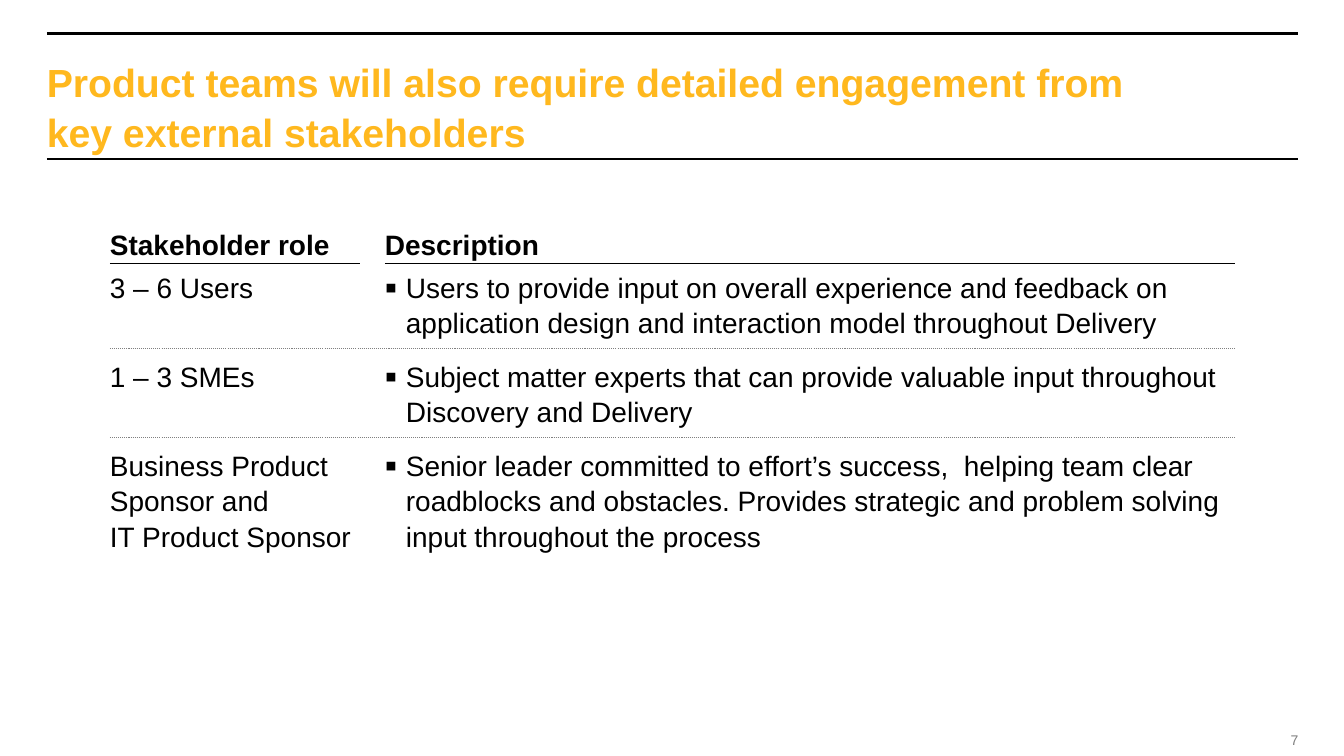
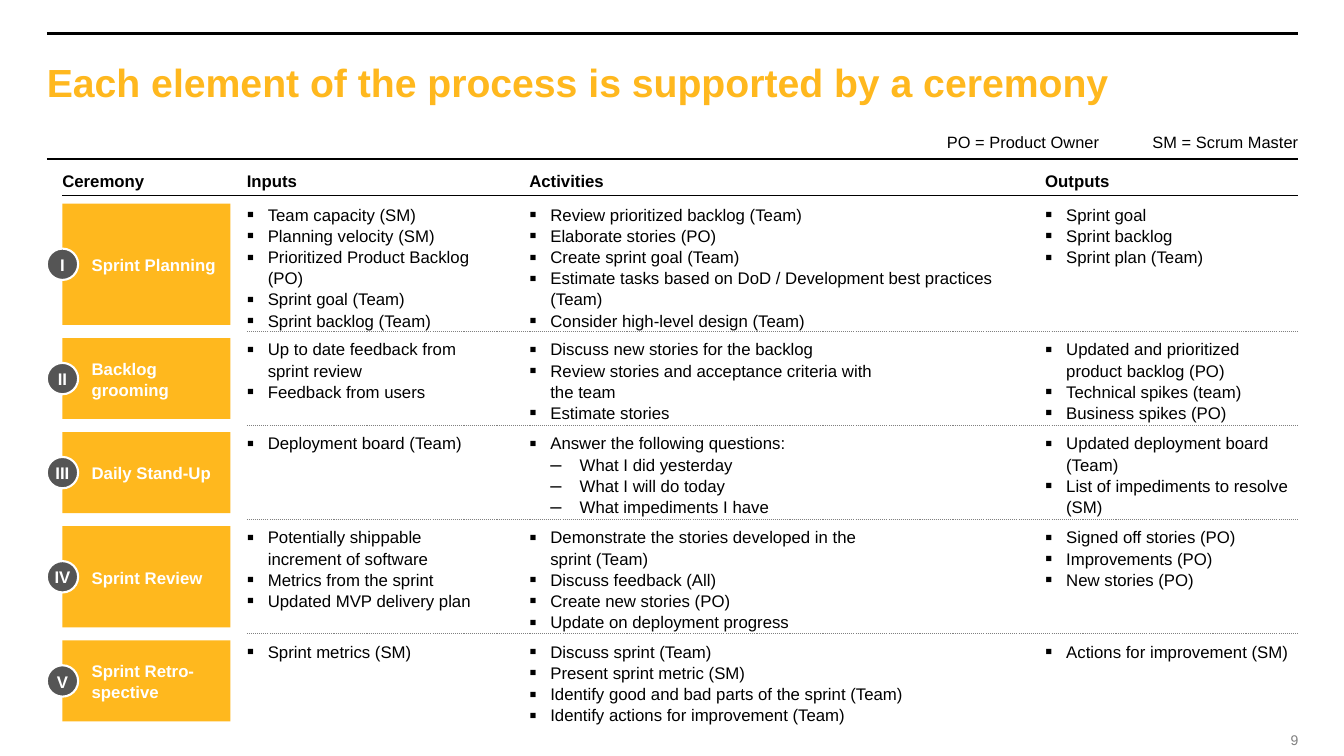
from lxml import etree
from pptx import Presentation
from pptx import util as u
from pptx.dml.color import RGBColor
from pptx.enum import dml, shapes, text
from pptx.oxml.ns import qn

FONT = "Arial"
AMBER, BLACK, WHITE, GREY, DARK, MUTED = "FFB81E", "000000", "FFFFFF", "808080", "555555", "7F7F7F"
LEFT, RIGHT = 1.18, 32.72
LINE_SPACING = 1.05
BULLETS = [("▪", 0.53, -0.53, 125), ("–", 1.27, -0.74, 120)]

STAKEHOLDERS = {
    "title": "Product teams will also require detailed engagement from key external stakeholders",
    "title_height": 2.39,
    "page": "7",
    "columns": [("Stakeholder role", 2.77, 6.3), ("Description", 9.7, 21.42)],
    "rows": [
        (["3 – 6 Users"],
         ["Users to provide input on overall experience and feedback on application design "
          "and interaction model throughout Delivery"]),
        (["1 – 3 SMEs"],
         ["Subject matter experts that can provide valuable input throughout Discovery and Delivery"]),
        (["Business Product Sponsor and", "IT Product Sponsor"],
         ["Senior leader committed to effort’s success,  helping team clear roadblocks and obstacles. "
          "Provides strategic and problem solving input throughout the process"]),
    ],
}

CEREMONIES = {
    "title": "Each element of the process is supported by a ceremony",
    "title_height": 1.2,
    "page": "9",
    "legend": "PO = Product Owner\tSM = Scrum Master",
    "columns": [("Ceremony", 1.57, 4.24), ("Inputs", 6.22, 6.12),
                ("Activities", 13.34, 12.04), ("Outputs", 26.34, 6.38)],
    "rows": [
        ("I", "Sprint Planning", 6, [
            ["Team capacity (SM)", "Planning velocity (SM)", "Prioritized Product Backlog (PO)",
             "Sprint goal (Team)", "Sprint backlog (Team)"],
            ["Review prioritized backlog (Team)", "Elaborate stories (PO)", "Create sprint goal (Team)",
             "Estimate tasks based on DoD / Development best practices (Team)",
             "Consider high-level design (Team)"],
            ["Sprint goal", "Sprint backlog", "Sprint plan (Team)"]]),
        ("II", "Backlog grooming", 4, [
            ["Up to date feedback from sprint review", "Feedback from users"],
            ["Discuss new stories for the backlog",
             "Review stories and acceptance criteria with \nthe team", "Estimate stories"],
            ["Updated and prioritized product backlog (PO)", "Technical spikes (team)",
             "Business spikes (PO)"]]),
        ("III", "Daily Stand-Up", 4, [
            ["Deployment board (Team)"],
            ["Answer the following questions:",
             ["What I did yesterday", "What I will do today", "What impediments I have"]],
            ["Updated deployment board (Team)", "List of impediments to resolve (SM)"]]),
        ("IV", "Sprint Review", 5, [
            ["Potentially shippable increment of software", "Metrics from the sprint",
             "Updated MVP delivery plan"],
            ["Demonstrate the stories developed in the \nsprint (Team)", "Discuss feedback (All)",
             "Create new stories (PO)", "Update on deployment progress"],
            ["Signed off stories (PO)", "Improvements (PO)", "New stories (PO)"]]),
        ("V", "Sprint Retro-spective", 4, [
            ["Sprint metrics (SM)"],
            ["Discuss sprint (Team)", "Present sprint metric (SM)",
             "Identify good and bad parts of the sprint (Team)",
             "Identify actions for improvement (Team)"],
            ["Actions for improvement (SM)"]]),
    ],
}


def colour(hex_string):
    return RGBColor.from_string(hex_string)


def with_levels(items, level=0):
    for item in items:
        if isinstance(item, list):
            yield from with_levels(item, level + 1)
        else:
            yield item, level


def add_bullet(paragraph, level):
    mark, margin, indent, percent = BULLETS[level]
    paragraph.level = level
    properties = paragraph._p.get_or_add_pPr()
    properties.set("marL", str(u.Cm(margin)))
    properties.set("indent", str(u.Cm(indent)))
    mark_colour = etree.SubElement(properties, qn("a:buClr"))
    etree.SubElement(mark_colour, qn("a:srgbClr"), val=BLACK)
    etree.SubElement(properties, qn("a:buSzPct"), val=str(percent * 1000))
    etree.SubElement(properties, qn("a:buFont"), typeface=FONT)
    etree.SubElement(properties, qn("a:buChar"), char=mark)


def write(holder, items, size, ink=BLACK, bold=False, align=text.PP_ALIGN.LEFT,
          anchor=text.MSO_ANCHOR.TOP, bullets=False, inset=0, wrap=True):
    frame = holder.text_frame
    frame.word_wrap = wrap
    frame.auto_size = text.MSO_AUTO_SIZE.NONE
    frame.vertical_anchor = anchor
    frame.margin_left = u.Cm(inset)
    frame.margin_top = frame.margin_right = frame.margin_bottom = 0
    for index, (line, level) in enumerate(with_levels(items)):
        paragraph = frame.add_paragraph() if index else frame.paragraphs[0]
        paragraph.text = line
        paragraph.alignment = align
        paragraph.line_spacing = LINE_SPACING
        if bullets:
            add_bullet(paragraph, level)
        for run in paragraph.runs:
            run.font.name, run.font.size, run.font.bold = FONT, u.Pt(size), bold
            run.font.color.rgb = colour(ink)


def add_label(slide, left, top, width, height, items, size, **style):
    label = slide.shapes.add_textbox(u.Cm(left), u.Cm(top), u.Cm(width), u.Cm(height))
    write(label, items, size, **style)
    return label


def add_rule(slide, left, right, y, ink=BLACK, weight=0.75, dotted=False):
    rule = slide.shapes.add_connector(shapes.MSO_CONNECTOR.STRAIGHT,
                                      u.Cm(left), u.Cm(y), u.Cm(right), u.Cm(y))
    rule.line.color.rgb = colour(ink)
    rule.line.width = u.Pt(weight)
    if dotted:
        rule.line.dash_style = dml.MSO_LINE.ROUND_DOT
    etree.SubElement(rule._element.spPr, qn("a:effectLst"))


def add_block(slide, kind, left, top, width, height, fill, outline=None):
    block = slide.shapes.add_shape(kind, u.Cm(left), u.Cm(top), u.Cm(width), u.Cm(height))
    block.shadow.inherit = False
    block.fill.solid()
    block.fill.fore_color.rgb = colour(fill)
    if outline:
        block.line.color.rgb = colour(outline)
        block.line.width = u.Pt(1.5)
    else:
        block.line.fill.background()
    return block


def start_slide(deck, content):
    slide = deck.slides.add_slide(deck.slide_layouts[5])
    add_rule(slide, LEFT, RIGHT, 0.84, weight=2.5)
    add_rule(slide, LEFT, RIGHT, 4.01, weight=1)
    title = slide.shapes.title
    title.left, title.top = u.Cm(LEFT), u.Cm(1.42)
    title.width, title.height = u.Cm(27.8), u.Cm(content["title_height"])
    write(title, [content["title"]], 28, ink=AMBER, bold=True)
    add_label(slide, RIGHT - 0.43, 18.42, 0.43, 0.43, [content["page"]], 10, ink=MUTED,
              align=text.PP_ALIGN.RIGHT, anchor=text.MSO_ANCHOR.MIDDLE, wrap=False)
    return slide


def add_headings(slide, columns, top, height, size):
    for heading, left, width in columns:
        add_label(slide, left, top, width, height, [heading], size, bold=True,
                  anchor=text.MSO_ANCHOR.BOTTOM)


def build_stakeholders(deck):
    slide = start_slide(deck, STAKEHOLDERS)
    columns = STAKEHOLDERS["columns"]
    first_row, pitch, row_height = 6.78, 2.24, 1.71
    add_headings(slide, columns, 5.72, 0.86, 20)
    for _, left, width in columns:
        add_rule(slide, left, left + width, 6.63)
    for index, cells in enumerate(STAKEHOLDERS["rows"]):
        top = first_row + index * pitch
        if index:
            add_rule(slide, columns[0][1], sum(columns[-1][1:]), top - 0.24, GREY, dotted=True)
        for place, ((_, left, width), items) in enumerate(zip(columns, cells)):
            add_label(slide, left, top, width, row_height, items, 20, bullets=place > 0)


def build_ceremonies(deck):
    slide = start_slide(deck, CEREMONIES)
    columns = CEREMONIES["columns"]
    line_height, gap, badge_size = 0.51, 0.33, 0.79
    legend = add_label(slide, 22.43, 3.3, 10.29, 0.51, [CEREMONIES["legend"]], 11.7,
                       align=text.PP_ALIGN.RIGHT)
    tabs = etree.SubElement(legend.text_frame.paragraphs[0]._p.get_or_add_pPr(), qn("a:tabLst"))
    etree.SubElement(tabs, qn("a:tab"), pos=str(u.Cm(5.18)), algn="l")
    add_headings(slide, columns, 4.29, 0.51, 12)
    _, block_left, block_width = columns[0]
    add_rule(slide, block_left, RIGHT, 4.93)
    top = 5.13
    for index, (numeral, ceremony, lines, cells) in enumerate(CEREMONIES["rows"]):
        height = lines * line_height
        if index:
            add_rule(slide, columns[1][1], RIGHT, top - gap / 2, GREY, dotted=True)
        block = add_block(slide, shapes.MSO_SHAPE.RECTANGLE, block_left, top,
                          block_width, height, AMBER)
        write(block, [ceremony], 12, ink=WHITE, bold=True, inset=0.74,
              anchor=text.MSO_ANCHOR.MIDDLE)
        badge = add_block(slide, shapes.MSO_SHAPE.OVAL, LEFT, top + (height - badge_size) / 2,
                          badge_size, badge_size, DARK, WHITE)
        write(badge, [numeral], 12, ink=WHITE, bold=True, align=text.PP_ALIGN.CENTER,
              anchor=text.MSO_ANCHOR.MIDDLE, wrap=False)
        for (_, left, width), items in zip(columns[1:], cells):
            add_label(slide, left, top, width, height, items, 12, bullets=True)
        top += height + gap


def main():
    deck = Presentation()
    deck.slide_width, deck.slide_height = u.Cm(33.87), u.Cm(19.05)
    build_stakeholders(deck)
    build_ceremonies(deck)
    deck.save("out.pptx")


if __name__ == "__main__":
    main()
